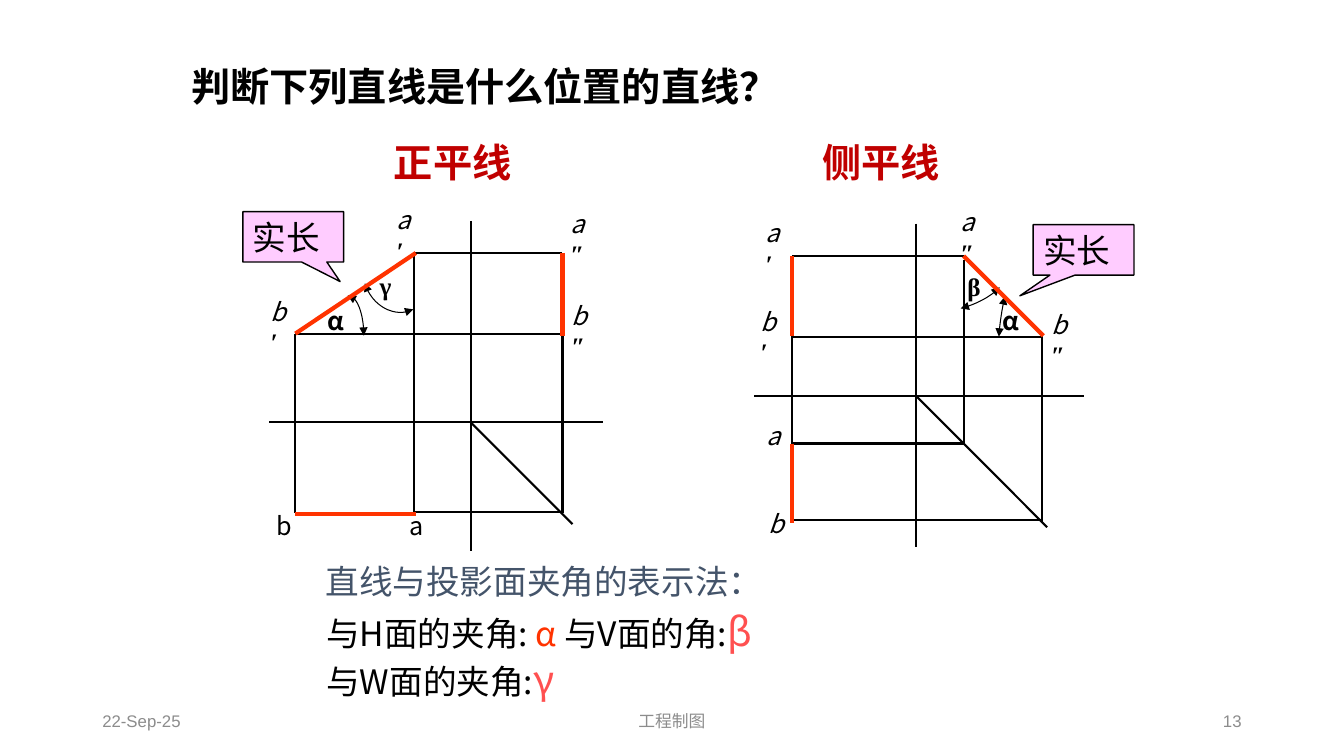
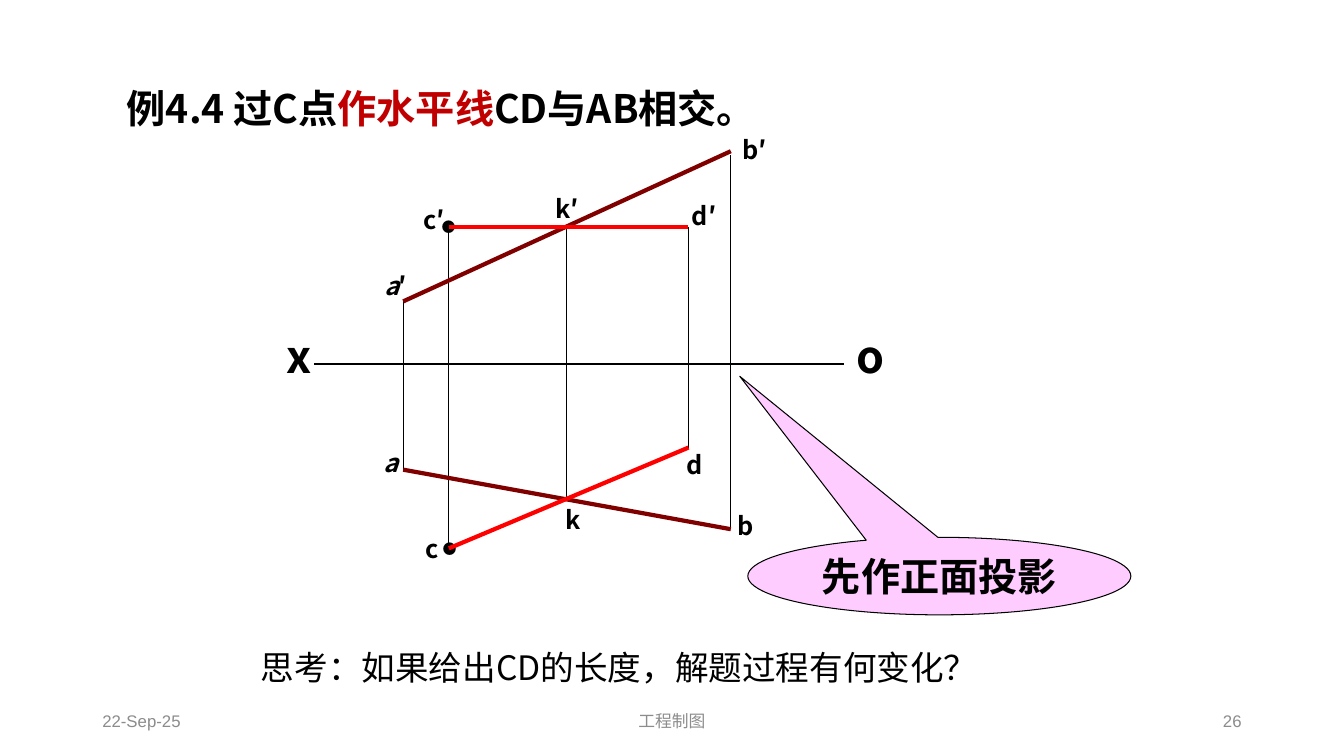
"""Build two engineering drawing slides on projected lines."""
from dataclasses import dataclass
from typing import NamedTuple

from lxml.etree import SubElement
from pptx import Presentation
from pptx.dml.color import RGBColor as Rgb
from pptx.enum.shapes import MSO_CONNECTOR as Conn, MSO_SHAPE as Kind
from pptx.enum.text import MSO_ANCHOR as Anchor, PP_ALIGN as Align
from pptx.oxml.ns import qn
from pptx.util import Pt


@dataclass(frozen=True)
class Theme:
    black: str = "000000"
    gray: str = "8C8C8C"
    slate: str = "44546A"
    crimson: str = "C00000"
    maroon: str = "800000"
    red: str = "FF0000"
    orange: str = "FF3300"
    coral: str = "FF5050"
    pink: str = "FFCCFF"
    sans: str = "Noto Sans CJK SC"
    serif: str = "Times New Roman"
    foot: str = "Arial"
    small: float = 12
    dot: float = 10
    label: float = 18
    body: float = 24
    title: float = 28
    axis: float = 32
    hair: float = 0.75
    edge: float = 1
    thin: float = 1.5
    bold: float = 3


T = Theme()


class Box(NamedTuple):
    left: float
    top: float
    width: float
    height: float


class Run(NamedTuple):
    text: str
    color: str | None = None
    size: float | None = None
    font: str | None = None
    bold: bool | None = None
    slant: bool | None = None


@dataclass(frozen=True)
class Style:
    size: float = T.label
    color: str = T.black
    font: str = T.sans
    bold: bool = False
    slant: bool = False
    align: Align = Align.LEFT
    anchor: Anchor = Anchor.MIDDLE
    wrap: bool = True


class Line(NamedTuple):
    x1: float
    y1: float
    x2: float
    y2: float


class Curve(NamedTuple):
    start: tuple[float, float]
    pull: tuple[float, float]
    push: tuple[float, float]
    end: tuple[float, float]


class Call(NamedTuple):
    kind: Kind
    box: Box
    tip: tuple[float, float]
    text: str
    style: Style
    width: float


class Mark(NamedTuple):
    left: float
    top: float
    name: str
    prime: str = ""


TITLE = Style(size=T.title, bold=True)
ANSWER = Style(size=T.title, color=T.crimson, bold=True)
BODY = Style(size=T.body, anchor=Anchor.TOP)
GREEK = Style(bold=True)
SERIF = Style(bold=True, font=T.serif)
POINT = Style(bold=True, align=Align.CENTER, wrap=False)
AXIS = Style(size=T.axis, bold=True, anchor=Anchor.TOP)


def set_font(font, color=None, size=None, name=None, bold=None, slant=None) -> None:
    if size:
        font.size = Pt(size)
    if bold is not None:
        font.bold = bold
    if slant is not None:
        font.italic = slant
    if color:
        font.color.rgb = Rgb.from_string(color)
    if name:
        font.name = name
        SubElement(font._rPr, qn("a:ea")).set("typeface", name)


def fill_text(frame, style: Style, paras: tuple[tuple[Run, ...], ...]) -> None:
    frame.word_wrap = style.wrap
    frame.vertical_anchor = style.anchor
    for i, runs in enumerate(paras):
        para = frame.add_paragraph() if i else frame.paragraphs[0]
        para.alignment = style.align
        set_font(para.font, style.color, style.size, style.font, style.bold, style.slant)
        for part in runs:
            run = para.add_run()
            run.text = part.text
            set_font(run.font, *part[1:])


def add_text(slide, box: Box, style: Style, *paras: str | tuple[Run, ...]) -> None:
    shape = slide.shapes.add_textbox(*map(Pt, box))
    rows = tuple((Run(p),) if isinstance(p, str) else p for p in paras)
    fill_text(shape.text_frame, style, rows)


def add_lines(slide, color: str, width: float, *lines: Line) -> None:
    for line in lines:
        shape = slide.shapes.add_connector(Conn.STRAIGHT, *map(Pt, line))
        shape.line.color.rgb = Rgb.from_string(color)
        shape.line.width = Pt(width)
        SubElement(shape._element.spPr, qn("a:effectLst"))


def add_curve(slide, curve: Curve, steps: int = 16) -> None:
    dots = []
    for i in range(steps + 1):
        t = i / steps
        u = 1 - t
        mix = (u**3, 3 * u * u * t, 3 * u * t * t, t**3)
        dots.append(tuple(Pt(sum(m * p[k] for m, p in zip(mix, curve))) for k in (0, 1)))
    pen = slide.shapes.build_freeform(*dots[0])
    pen.add_line_segments(dots[1:], close=False)
    shape = pen.convert_to_shape()
    shape.shadow.inherit = False
    shape.fill.background()
    shape.line.color.rgb = Rgb.from_string(T.black)
    shape.line.width = Pt(T.hair)
    for end in ("a:headEnd", "a:tailEnd"):
        SubElement(shape.line._get_or_add_ln(), qn(end)).set("type", "triangle")


def add_call(slide, call: Call) -> None:
    shape = slide.shapes.add_shape(call.kind, *map(Pt, call.box))
    shape.shadow.inherit = False
    shape.fill.solid()
    shape.fill.fore_color.rgb = Rgb.from_string(T.pink)
    shape.line.color.rgb = Rgb.from_string(T.black)
    shape.line.width = Pt(call.width)
    for i, value in enumerate(call.tip):
        shape.adjustments[i] = value
    fill_text(shape.text_frame, call.style, ((Run(call.text),),))


def add_mark(slide, mark: Mark) -> None:
    width = {"": 23.8, "′": 28, "″": 31.7}[mark.prime]
    runs = [Run(mark.name, slant=True)]
    if mark.prime:
        runs.append(Run(mark.prime, font=T.serif, bold=True))
    add_text(slide, Box(mark.left, mark.top, width, 28.8), Style(), tuple(runs))


def new_slide(deck, number: str):
    slide = deck.slides.add_slide(deck.slide_layouts[6])
    for left, width, align, text in (
        (678, 216, Align.RIGHT, number),
        (66, 216, Align.LEFT, "22-Sep-25"),
        (318, 324, Align.CENTER, "工程制图"),
    ):
        style = Style(size=T.small, color=T.gray, font=T.foot, align=align)
        add_text(slide, Box(left, 500.5, width, 28.8), style, text)
    return slide


def front_view(slide) -> None:
    b, a, axis, side = 211, 295.5, 336.2, 401.8
    high, low, base, plan = 180.7, 238.3, 301.7, 366.5
    add_lines(
        slide, T.black, T.thin,
        Line(a, high, side, high), Line(b, low, side + 2, low),
        Line(axis, base, 409, 374.4), Line(axis, 157.7, axis, 393.8),
        Line(192.2, base, 430.6, base), Line(a, high, a, plan),
        Line(b, low, b, plan), Line(side, low, side, plan),
        Line(a, plan - 0.7, side, plan - 0.7),
    )
    add_lines(
        slide, T.orange, T.bold,
        Line(b, low, a + 1.5, high), Line(side, high, side, low + 1.5),
        Line(b, plan + 0.7, a + 1.5, plan + 0.7),
    )
    for mark in (
        Mark(401, 221.8, "b", "″"), Mark(400.3, 156.2, "a", "″"),
        Mark(276.5, 153.4, "a", "′"), Mark(186.5, 218.9, "b", "′"),
    ):
        add_mark(slide, mark)
    for left, name in ((285.8, "a"), (190.8, "b")):
        add_text(slide, Box(left, 357, 26.6, 36), Style(), name)


def side_view(slide) -> None:
    left, axis, a, b = 566, 654.5, 688.3, 744.3
    high, low, base, near, far = 182.9, 239.8, 282.2, 316.8, 371.7
    add_lines(
        slide, T.black, T.thin,
        Line(b, low, b, far + 2), Line(a, high + 3, a, near),
        Line(axis, base + 0.7, 748, 376.6), Line(axis, 159.8, axis, 391),
        Line(538.6, base + 0.7, 774, base + 0.7), Line(left, high, a, high),
        Line(left, low + 1, b, low + 1), Line(left, low, left, near),
        Line(left, near, a, near), Line(left, far, b, far),
    )
    add_lines(
        slide, T.orange, T.bold,
        Line(a, high, b + 1, low), Line(left, near, left, far + 2),
        Line(left, high, left, low),
    )
    for mark in (
        Mark(743.8, 228.2, "b", "″"), Mark(540.7, 296.6, "a"),
        Mark(679, 154.8, "a", "″"), Mark(536.4, 226, "b", "′"),
        Mark(542.2, 359.3, "b"), Mark(540, 162.7, "a", "′"),
    ):
        add_mark(slide, mark)


def lines_slide(deck) -> None:
    slide = new_slide(deck, "13")
    add_text(slide, Box(129.6, 41, 438.5, 41), TITLE, "判断下列直线是什么位置的直线？")
    add_text(slide, Box(580.3, 95, 139, 41), ANSWER, "侧平线")
    add_text(slide, Box(274.3, 95, 104, 41), ANSWER, "正平线")
    add_text(
        slide, Box(226, 430.6, 569.5, 75), BODY,
        (Run("与H面的夹角: "), Run("α ", T.orange), Run("与V面的角:"),
         Run("β", T.coral, T.title)),
        (Run("与W面的夹角:"), Run("γ", T.coral, T.title)),
    )
    true = Style(size=T.body)
    for left, top, tip in ((738, 160.5, (-0.632, 0.912)), (173.5, 151.2, (0.465, 0.888))):
        box = Box(left, top, 72, 36)
        add_call(slide, Call(Kind.RECTANGULAR_CALLOUT, box, tip, "实长", true, T.edge))
    for left, top, width, style, name in (
        (709.2, 211, 29.5, GREEK, "α"), (684, 186.5, 38.9, SERIF, "β"),
        (264.2, 185.8, 38.9, SERIF, "γ"), (226.8, 211, 54.7, GREEK, "α"),
    ):
        add_text(slide, Box(left, top, width, 36), style, name)
    for curve in (
        Curve((717.8, 211.7), (715.7, 221), (714.2, 230.4), (713.5, 240.5)),
        Curve((714.2, 205.2), (707, 212.4), (697, 217.4), (686.2, 220.3)),
        Curve((295.2, 221), (282.5, 227.5), (265.7, 219), (260.6, 202.3)),
        Curve((248.4, 211), (254.9, 211), (259.9, 223.9), (259.9, 239.8)),
    ):
        add_curve(slide, curve)
    front_view(slide)
    side_view(slide)
    head = Style(size=T.body, color=T.slate)
    add_text(slide, Box(225.4, 397.4, 330, 36), head, "直线与投影面夹角的表示法：")


def cross_slide(deck) -> None:
    slide = new_slide(deck, "26")
    add_text(
        slide, Box(83.5, 56.2, 455, 41), TITLE,
        (Run("例4.4 过C点"), Run("作水平线", T.crimson), Run("CD与AB相交。")),
    )
    a, c, k, d, b = 288, 320.6, 404.6, 491.8, 522
    level = 162
    spot = Style(size=T.dot, bold=True, align=Align.CENTER, wrap=False)
    for left, top in ((308.9, 382.3), (308.2, 152.6)):
        add_text(slide, Box(left, top, 24.5, 19.4), spot, "●")
    add_lines(
        slide, T.black, T.hair,
        Line(b, 378, b, 111), Line(224.6, 260, 602.6, 260),
        Line(a, 215.3, a, 335.5), Line(c, level, c, 393),
        Line(k, level, k, 357), Line(d, level, d, 321),
    )
    add_lines(slide, T.maroon, T.bold, Line(a, 215.3, b, 108), Line(a, 335.5, b, 378))
    add_lines(slide, T.red, T.bold, Line(c, 391.7, d, 319.7), Line(c, level, d, level))
    for left, top, width, name in (
        (295.9, 373.7, 25.2, "c"), (511.9, 357, 41.8, "b"),
        (522, 88.6, 33.8, "b′"), (294.5, 139, 31, "c′"),
        (486, 136, 33.8, "d′"), (388, 131, 33.8, "k′"),
        (395.3, 352.8, 28, "k"), (483, 314, 26.6, "d"),
    ):
        add_text(slide, Box(left, top, width, 36), POINT, name)
    for left, top, width, rest in ((265.7, 312.5, 26.6, ()), (266.4, 185.8, 32.4, (Run("′"),))):
        add_text(slide, Box(left, top, width, 36), POINT, (Run("a", slant=True), *rest))
    note = Style(size=T.title, bold=True, align=Align.CENTER)
    add_call(slide, Call(
        Kind.OVAL_CALLOUT, Box(534.2, 383.8, 273.6, 55.4), (-0.521, -2.576),
        "先作正面投影", note, T.hair,
    ))
    for left, name in ((604.8, "o"), (197.3, "x")):
        add_text(slide, Box(left, 231, 30.2, 45.4), AXIS, name)
    add_text(slide, Box(179.3, 458.6, 610, 36), BODY, "思考：如果给出CD的长度，解题过程有何变化？")


def main() -> None:
    deck = Presentation()
    deck.slide_width, deck.slide_height = Pt(960), Pt(540)
    lines_slide(deck)
    cross_slide(deck)
    deck.save("out.pptx")


if __name__ == "__main__":
    main()
